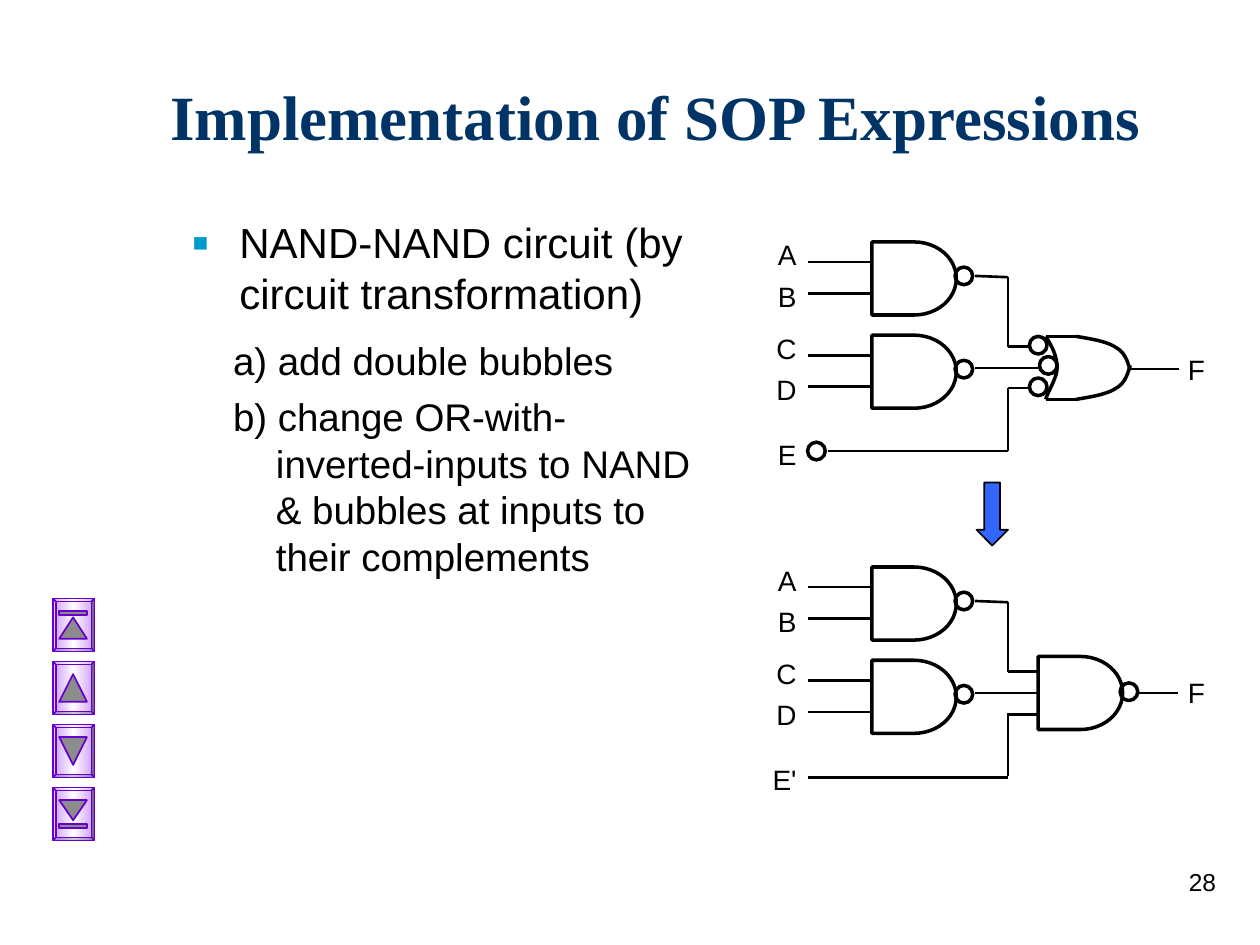
from copy import deepcopy

from lxml import etree
from pptx import Presentation
from pptx.dml.color import RGBColor
from pptx.enum.shapes import MSO_CONNECTOR, MSO_SHAPE
from pptx.enum.text import MSO_ANCHOR, MSO_AUTO_SIZE, PP_ALIGN
from pptx.oxml.ns import qn
from pptx.util import Inches, Pt

DELAY, OVAL, BEVEL = MSO_SHAPE.FLOWCHART_DELAY, MSO_SHAPE.OVAL, MSO_SHAPE.BEVEL
TRIANGLE, BAR = MSO_SHAPE.ISOSCELES_TRIANGLE, MSO_SHAPE.RECTANGLE
DOWN_ARROW = MSO_SHAPE.DOWN_ARROW
STRAIGHT = MSO_CONNECTOR.STRAIGHT
LEFT, RIGHT = PP_ALIGN.LEFT, PP_ALIGN.RIGHT

BLACK, NAVY, CYAN, PURPLE = "000000", "003366", "0099CC", "6600CC"
INPUT_X, GATE_X, BUS_X = 6.41, 6.92, 8
GATE_PITCH = 0.74
BUBBLE = 0.14

# text, size, left margin, first-line indent, line spacing, space before
BODY_LINES = [
    ("NAND-NAND circuit (by circuit transformation)", 24, 0.38, -0.38, 1.0, 0),
    ("a) add double bubbles", 22, 0.33, 0, 1.0, 11),
    ("b) change OR-with-", 22, 0.33, 0, 0.8, 11),
    ("inverted-inputs to NAND", 22, 0.67, 0, 0.8, 5.5),
    ("& bubbles at inputs to", 22, 0.67, 0, 0.8, 5.5),
    ("their complements", 22, 0.67, 0, 0.8, 5.5),
]


def rgb(hex_color):
    return RGBColor.from_string(hex_color)


def place(shape, *box):
    shape.left, shape.top, shape.width, shape.height = map(Inches, box)


def style_font(paragraph, size, color=BLACK, name="Arial", bold=False):
    font = paragraph.font
    font.size, font.name, font.bold = Pt(size), name, bold
    font.color.rgb = rgb(color)


def add_label(slide, text, x, y, w=0.42, h=0.37, size=16, align=RIGHT):
    frame = slide.shapes.add_textbox(*map(Inches, (x, y, w, h))).text_frame
    frame.word_wrap = True
    label = frame.paragraphs[0]
    label.text, label.alignment = text, align
    style_font(label, size)


def add_part(slide, kind, x, y, w, h, fill=None, color=BLACK, width=2):
    part = slide.shapes.add_shape(kind, *map(Inches, (x, y, w, h)))
    part.shadow.inherit = False
    if fill:
        part.fill.solid()
        part.fill.fore_color.rgb = rgb(fill)
    else:
        part.fill.background()
    part.line.color.rgb, part.line.width = rgb(color), Pt(width)
    return part


def add_gate(slide, x, y):
    add_part(slide, DELAY, x, y, 0.67, 0.58)


def add_bubble(slide, x, y):
    add_part(slide, OVAL, x, y, BUBBLE, BUBBLE)


def add_wires(slide, *points, width=1.5):
    """Join successive points with straight lines."""
    for start, end in zip(points, points[1:]):
        wire = slide.shapes.add_connector(STRAIGHT, *map(Inches, start + end))
        wire.line.color.rgb, wire.line.width = rgb(BLACK), Pt(width)
        etree.SubElement(wire._element.spPr, qn("a:effectLst"))


def bezier(p0, p1, p2, p3, steps=12):
    for step in range(steps + 1):
        t = step / steps
        u = 1 - t
        yield tuple(Inches(u**3 * a + 3 * u * u * t * b + 3 * u * t * t * c + t**3 * d)
                    for a, b, c, d in zip(p0, p1, p2, p3))


def add_curve(slide, *segments):
    points = [point for segment in segments for point in bezier(*segment)]
    builder = slide.shapes.build_freeform(*points[0])
    builder.add_line_segments(points[1:], close=False)
    curve = builder.convert_to_shape()
    curve.shadow.inherit = False
    curve.fill.background()
    curve.line.color.rgb, curve.line.width = rgb(BLACK), Pt(2)


def add_or_gate(slide):
    middle = 2.92
    add_curve(slide,
              ((8.3, 2.67), (8.35, 2.75), (8.39, 2.83), (8.39, middle)),
              ((8.39, middle), (8.39, 3), (8.31, 3.12), (8.3, 3.17)))
    # Upper and lower edges mirror each other
    for side in (-1, 1):
        edge = [(x, middle + side * dy) for x, dy in (
            (8.54, 0.25), (8.66, 0.23), (8.79, 0.21), (8.86, 0.16),
            (8.93, 0.12), (8.95, 0.05), (8.97, -0.02))]
        add_wires(slide, (8.3, middle + side * 0.25), edge[0], width=2)
        add_curve(slide, edge[:4], edge[3:])


def add_input_stage(slide, top, last_input):
    """Two NAND gates with inputs A to D, and the lines to the output gate."""
    for row, pair in enumerate(("AB", "CD")):
        y = top + row * GATE_PITCH
        add_gate(slide, GATE_X, y)
        add_bubble(slide, 7.58, y + 0.2)
        for name, label_dy, wire_dy in zip(pair, (-0.08, 0.25), (0.16, 0.41)):
            add_label(slide, name, 6, y + label_dy)
            add_wires(slide, (INPUT_X, y + wire_dy), (GATE_X, y + wire_dy))
    add_label(slide, last_input, 6, top + 1.5)
    add_wires(slide, (7.74, top + 0.27), (BUS_X, top + 0.28), (BUS_X, top + 0.83))
    add_wires(slide, (7.74, top + 1), (8.25, top + 1))
    add_wires(slide, (BUS_X, top + 1.16), (BUS_X, top + 1.66))


def add_or_circuit(slide, top=1.92):
    add_input_stage(slide, top, "E")
    add_or_gate(slide)
    for x, y in ((6.41, 3.51), (8.17, 2.67), (8.25, 2.83), (8.17, 3)):
        add_bubble(slide, x, y)
    for y in (2.75, 3.08):
        add_wires(slide, (BUS_X, y), (8.17, y))
    add_wires(slide, (6.57, 3.58), (BUS_X, 3.58))
    add_wires(slide, (8.97, 2.93), (9.36, 2.93))
    add_label(slide, "F", 9.33, 2.75, 0.48, align=LEFT)


def add_nand_circuit(slide, top=4.5):
    add_input_stage(slide, top, "E'")
    add_gate(slide, 8.24, 5.21)
    add_bubble(slide, 8.89, 5.42)
    for y in (5.33, 5.67):
        add_wires(slide, (BUS_X, y), (8.25, y))
    add_wires(slide, (INPUT_X, 6.17), (BUS_X, 6.17))
    add_wires(slide, (9.04, 5.5), (9.35, 5.5))
    add_label(slide, "F", 9.33, 5.31, 0.48, align=LEFT)


def add_nav_button(slide, y, arrow_dy, arrow_h, down, bar_dy):
    button = add_part(slide, BEVEL, 0.42, y, 0.33, 0.42, color=PURPLE, width=1)
    button.adjustments[0] = 0.07
    button.fill.gradient()
    button.fill.gradient_angle = 0
    edge, center = button.fill.gradient_stops
    edge.color.rgb, edge.position = rgb("CC99FF"), 0
    center.color.rgb, center.position = rgb("FFFFFF"), 0.5
    stops = button._element.spPr.find(".//" + qn("a:gsLst"))
    far_edge = deepcopy(stops[0])
    far_edge.set("pos", "100000")
    stops.append(far_edge)
    arrow = add_part(slide, TRIANGLE, 0.47, y + arrow_dy, 0.22, arrow_h,
                     "8C8C8C", PURPLE, 1)
    arrow.rotation = 180 if down else 0
    if bar_dy is not None:
        add_part(slide, BAR, 0.47, y + bar_dy, 0.22, 0.03, "8C8C8C", PURPLE, 1)


def set_bullet(paragraph, margin, indent):
    props = paragraph._p.get_or_add_pPr()
    props.set("marL", str(Inches(margin)))
    props.set("indent", str(Inches(indent)))
    if not indent:
        etree.SubElement(props, qn("a:buNone"))
        return
    color = etree.SubElement(props, qn("a:buClr"))
    etree.SubElement(color, qn("a:srgbClr"), val=CYAN)
    etree.SubElement(props, qn("a:buSzPct"), val="120000")
    etree.SubElement(props, qn("a:buFont"), typeface="Arial")
    etree.SubElement(props, qn("a:buChar"), char="▪")


def fill_title(title):
    place(title, 1.25, 0.5, 8.5, 0.83)
    frame = title.text_frame
    frame.text = "Implementation of SOP Expressions"
    frame.vertical_anchor = MSO_ANCHOR.MIDDLE
    frame.auto_size = MSO_AUTO_SIZE.NONE
    frame.paragraphs[0].alignment = LEFT
    style_font(frame.paragraphs[0], 36, NAVY, "Times New Roman", True)


def fill_body(body):
    place(body, 1.42, 1.67, 4.5, 3.17)
    frame = body.text_frame
    frame.auto_size = MSO_AUTO_SIZE.NONE
    frame.text = "\n".join(line[0] for line in BODY_LINES)
    for paragraph, line in zip(frame.paragraphs, BODY_LINES):
        _, size, margin, indent, spacing, before = line
        set_bullet(paragraph, margin, indent)
        paragraph.line_spacing, paragraph.space_before = spacing, Pt(before)
        style_font(paragraph, size)


def main():
    deck = Presentation()
    deck.slide_width, deck.slide_height = Inches(10), Inches(7.5)
    slide = deck.slides.add_slide(deck.slide_layouts[1])
    fill_title(slide.shapes.title)
    fill_body(slide.placeholders[1])
    # Circuit before and after the transformation
    add_or_circuit(slide)
    add_nand_circuit(slide)
    add_part(slide, DOWN_ARROW, 7.75, 3.83, 0.25, 0.5, "3366FF", width=1)
    # Navigation: first, previous, next, last
    for row, glyph in enumerate(((0.15, 0.17, False, 0.1), (0.1, 0.22, False, None),
                                 (0.1, 0.22, True, None), (0.1, 0.16, True, 0.29))):
        add_nav_button(slide, 4.75 + row * 0.5, *glyph)
    # Slide number
    add_label(slide, "28", 7.67, 6.83, 2.08, 0.5, size=14)
    deck.save("out.pptx")


if __name__ == "__main__":
    main()
